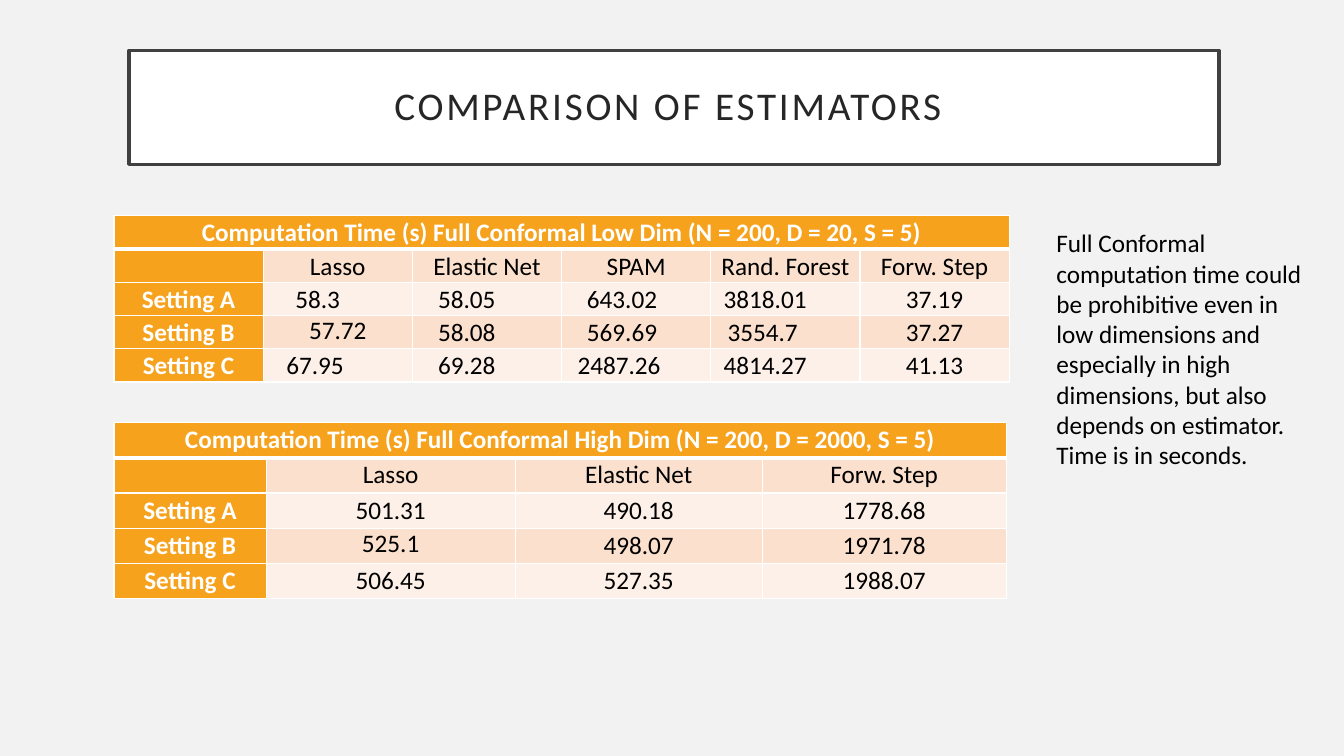
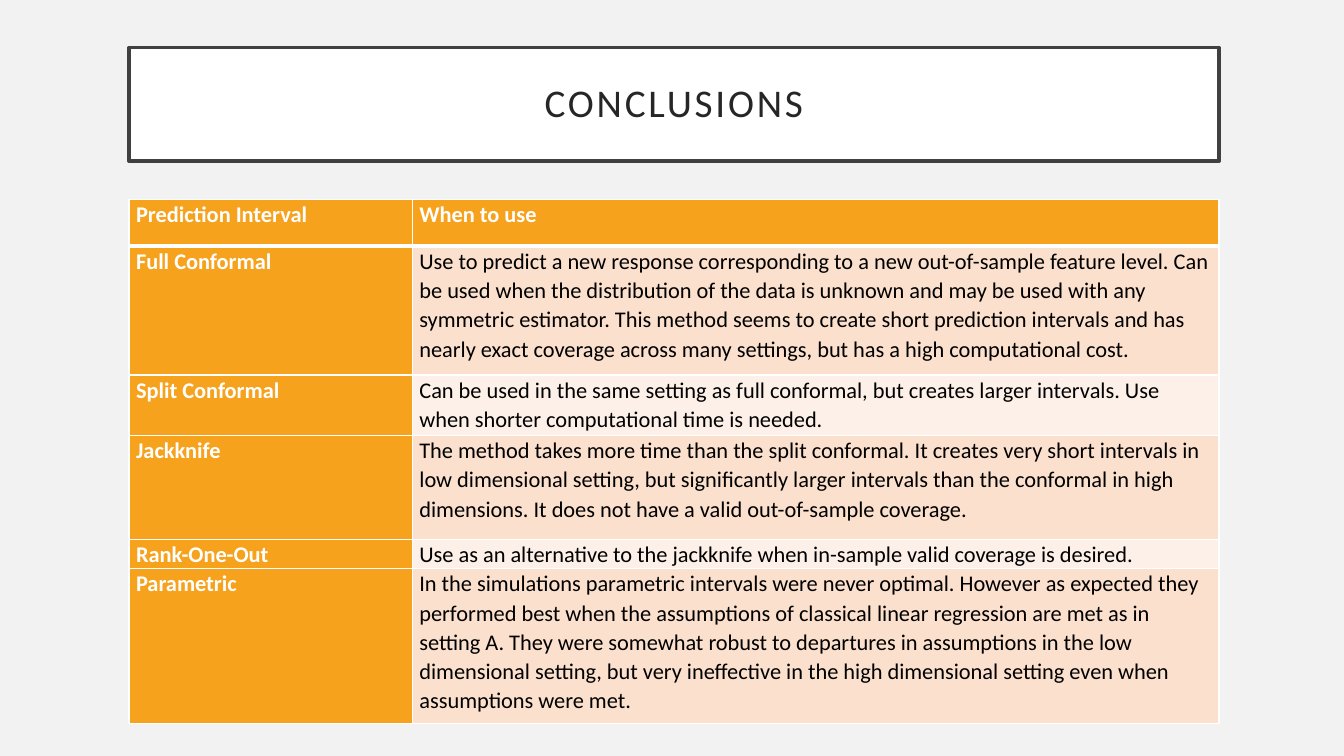
"""Build two slides that compare conformal estimators and draw conclusions."""
from dataclasses import dataclass

from lxml import etree
from pptx import Presentation
from pptx.dml.color import RGBColor
from pptx.enum.text import MSO_ANCHOR, MSO_AUTO_SIZE, PP_ALIGN
from pptx.oxml.ns import qn
from pptx.util import Inches, Pt

CENTER = PP_ALIGN.CENTER
LEFT = PP_ALIGN.LEFT
MIDDLE = MSO_ANCHOR.MIDDLE
TOP = MSO_ANCHOR.TOP
NO_AUTOFIT = MSO_AUTO_SIZE.NONE


@dataclass(frozen=True)
class Theme:
    """Colours, font and type sizes of the deck."""
    background: str = "F2F2F2"
    white: str = "FFFFFF"
    frame: str = "404040"
    title: str = "262626"
    text: str = "000000"
    accent: str = "F6A21D"
    odd_band: str = "FBE0CD"
    even_band: str = "FDF0E8"
    font: str = "Calibri"
    title_size: int = 28
    body_size: int = 18
    small_size: int = 16


THEME = Theme()


def write_text(paragraph, text, size, color, bold=False, align=LEFT, spacing=1.0):
    """Write one formatted run into a paragraph and return the run."""
    paragraph.alignment = align
    paragraph.line_spacing = spacing
    run = paragraph.add_run()
    run.text = text
    for name, value in {"name": THEME.font, "size": Pt(size), "bold": bold}.items():
        setattr(run.font, name, value)
    run.font.color.rgb = RGBColor.from_string(color)
    return run


def add_border(cell, side, points):
    """Draw a white border on one side of a table cell."""
    properties = cell._tc.get_or_add_tcPr()
    line = etree.SubElement(properties, qn(f"a:ln{side}"), w=str(Pt(points)))
    fill = etree.SubElement(line, qn("a:solidFill"))
    etree.SubElement(fill, qn("a:srgbClr"), val=THEME.white)


CELL_MARGINS = {
    "margin_left": Inches(0.07),
    "margin_right": Inches(0.07),
    "margin_top": 0,
    "margin_bottom": 0,
}
TITLE_FRAME = {
    "margin_left": Inches(0.2),
    "margin_right": Inches(0.2),
    "margin_top": Inches(0.2),
    "margin_bottom": Inches(0.2),
    "vertical_anchor": MIDDLE,
    "word_wrap": True,
    "auto_size": NO_AUTOFIT,
}

low_dimension = {
    "left": 1.13,
    "top": 2.14,
    "columns": [1.48] * 6,
    "rows": [0.33] * 5,
    "size": THEME.body_size,
    "align": CENTER,
    "single_spaced": {(3, 1)},
    "right_indents": {
        (2, 1): 0.4, (4, 1): 0.45,
        (2, 2): 0.4, (3, 2): 0.4, (4, 2): 0.4,
        (2, 3): 0.28, (3, 3): 0.28, (4, 3): 0.34,
        (2, 4): 0.4, (3, 4): 0.45, (4, 4): 0.4,
    },
    "cells": [
        ["Computation Time (s) Full Conformal Low Dim (N = 200, D = 20, S = 5)"],
        ["", "Lasso", "Elastic Net", "SPAM", "Rand. Forest", "Forw. Step"],
        ["Setting A", "58.3", "58.05", "643.02", "3818.01", "37.19"],
        ["Setting B", "57.72", "58.08", "569.69", "3554.7", "37.27"],
        ["Setting C", "67.95", "69.28", "2487.26", "4814.27", "41.13"],
    ],
}
high_dimension = {
    "left": 1.13,
    "top": 4.19,
    "columns": [1.51, 2.47, 2.45, 2.42],
    "rows": [0.35] * 5,
    "size": THEME.body_size,
    "align": CENTER,
    "single_spaced": {(3, 1)},
    "right_indents": {},
    "cells": [
        ["Computation Time (s) Full Conformal High Dim (N = 200, D = 2000, S = 5)"],
        ["", "Lasso", "Elastic Net", "Forw. Step"],
        ["Setting A", "501.31", "490.18", "1778.68"],
        ["Setting B", "525.1", "498.07", "1971.78"],
        ["Setting C", "506.45", "527.35", "1988.07"],
    ],
}
recommendations = {
    "left": 1.28,
    "top": 1.98,
    "columns": [2.81, 8],
    "rows": [0.46, 1.28, 0.6, 1.03, 0.29, 1.54],
    "size": THEME.small_size,
    "align": LEFT,
    "single_spaced": set(),
    "right_indents": {},
    "cells": [
        ["Prediction Interval", "When to use"],
        ["Full Conformal",
         "Use to predict a new response corresponding to a new out-of-sample feature "
         "level. Can be used when the distribution of the data is unknown and may be "
         "used with any symmetric estimator. This method seems to create short "
         "prediction intervals and has nearly exact coverage across many settings, "
         "but has a high computational cost."],
        ["Split Conformal",
         "Can be used in the same setting as full conformal, but creates larger "
         "intervals. Use when shorter computational time is needed."],
        ["Jackknife",
         "The method takes more time than the split conformal. It creates very short "
         "intervals in low dimensional setting, but significantly larger intervals "
         "than the conformal in high dimensions. It does not have a valid "
         "out-of-sample coverage."],
        ["Rank-One-Out",
         "Use as an alternative to the jackknife when in-sample valid coverage is "
         "desired."],
        ["Parametric",
         "In the simulations parametric intervals were never optimal. However as "
         "expected they performed best when the assumptions of classical linear "
         "regression are met as in setting A. They were somewhat robust to departures "
         "in assumptions in the low dimensional setting, but very ineffective in the "
         "high dimensional setting even when assumptions were met."],
    ],
}
slides = [
    {"title": "COMPARISON OF ESTIMATORS ", "top": 0.5,
     "tables": [low_dimension, high_dimension],
     "note": [
         "Full Conformal computation time could be prohibitive even in low dimensions "
         "and especially in high dimensions, but also depends on estimator.",
         "Time is in seconds."]},
    {"title": "CONCLUSIONS", "top": 0.47, "tables": [recommendations], "note": []},
]

presentation = Presentation()
presentation.slide_width = Inches(13.33)
presentation.slide_height = Inches(7.5)
background = presentation.slide_master.background.fill
background.solid()
background.fore_color.rgb = RGBColor.from_string(THEME.background)
title_only = presentation.slide_layouts.get_by_name("Title Only")

for content in slides:
    slide = presentation.slides.add_slide(title_only)

    title = slide.shapes.title
    title.left, title.top = Inches(1.28), Inches(content["top"])
    title.width, title.height = Inches(10.81), Inches(1.13)
    title.fill.solid()
    title.fill.fore_color.rgb = RGBColor.from_string(THEME.white)
    title.line.color.rgb = RGBColor.from_string(THEME.frame)
    title.line.width = Pt(2.5)
    for name, value in TITLE_FRAME.items():
        setattr(title.text_frame, name, value)
    run = write_text(title.text_frame.paragraphs[0], content["title"],
                     THEME.title_size, THEME.title, align=CENTER, spacing=0.9)
    run.font._element.set("spc", "200")

    for grid in content["tables"]:
        columns, rows = grid["columns"], grid["rows"]
        table = slide.shapes.add_table(
            len(rows), len(columns), Inches(grid["left"]), Inches(grid["top"]),
            Inches(sum(columns)), Inches(sum(rows))).table
        for column, width in zip(table.columns, columns):
            column.width = Inches(width)
        for row, height in zip(table.rows, rows):
            row.height = Inches(height)

        for row_index in range(len(rows)):
            texts = grid["cells"][row_index]
            band = THEME.odd_band if row_index % 2 else THEME.even_band
            for column_index in range(len(columns)):
                position = (row_index, column_index)
                cell = table.cell(*position)
                is_heading = row_index == 0 or column_index == 0
                for side in "LRTB":
                    under_header = position[0] == (1 if side == "T" else 0)
                    add_border(cell, side, 3 if side in "TB" and under_header
                               and not (side == "T" and row_index == 0) else 1)
                cell.fill.solid()
                cell.fill.fore_color.rgb = RGBColor.from_string(
                    THEME.accent if is_heading else band)
                for name, value in CELL_MARGINS.items():
                    setattr(cell, name, value)
                cell.margin_right += Inches(grid["right_indents"].get(position, 0))
                cell.vertical_anchor = TOP
                if column_index < len(texts) and texts[column_index]:
                    write_text(cell.text_frame.paragraphs[0], texts[column_index],
                               grid["size"], THEME.white if is_heading else THEME.text,
                               bold=is_heading, align=grid["align"],
                               spacing=1.0 if position in grid["single_spaced"] else 1.07)
        if len(grid["cells"][0]) == 1:
            table.cell(0, 0).merge(table.cell(0, len(columns) - 1))

    if content["note"]:
        note = slide.shapes.add_textbox(
            Inches(10.38), Inches(2.21), Inches(2.77), Inches(2.52)).text_frame
        note.word_wrap = True
        for index, text in enumerate(content["note"]):
            paragraph = note.add_paragraph() if index else note.paragraphs[0]
            write_text(paragraph, text, THEME.body_size, THEME.text)

presentation.save("out.pptx")
